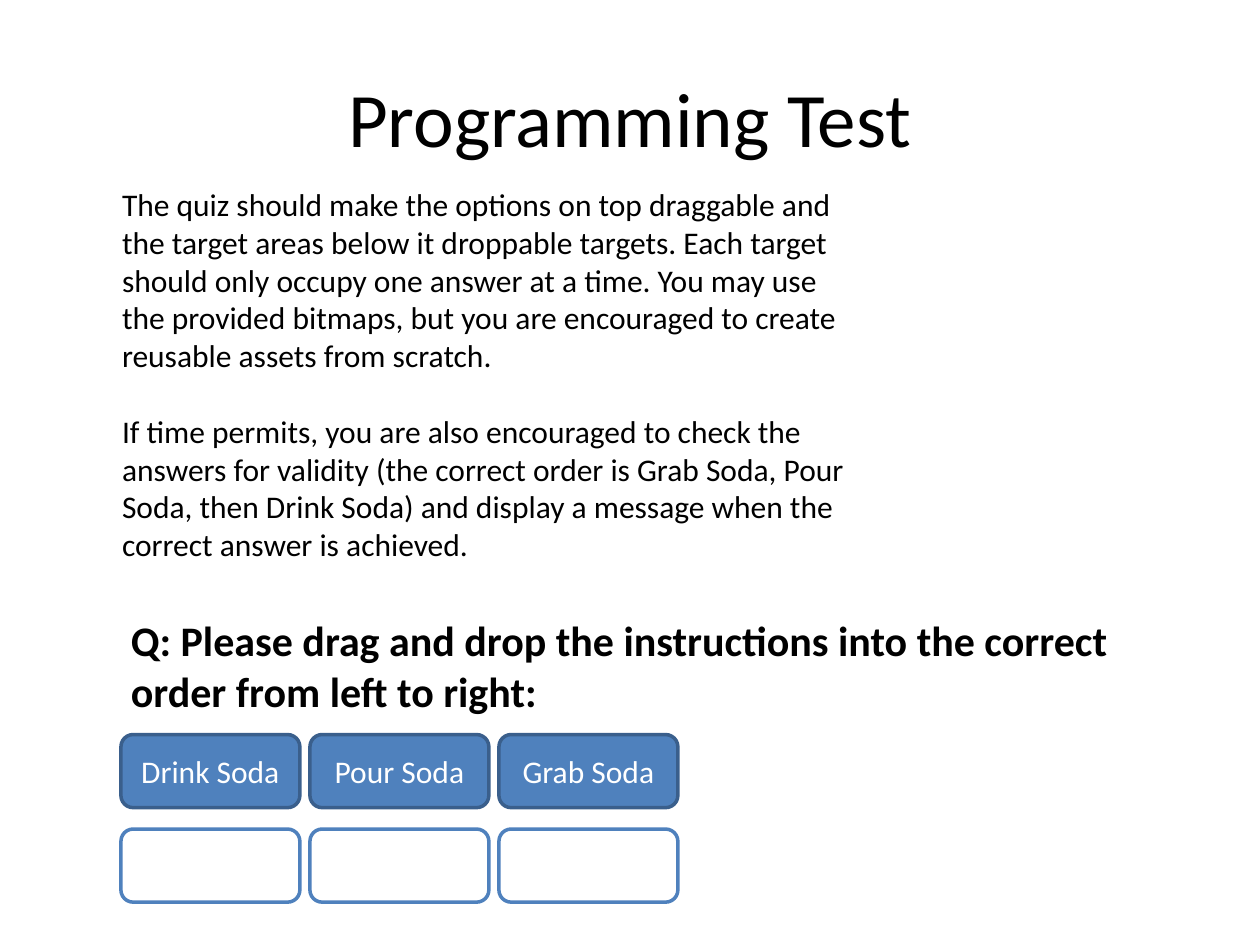
from pptx import Presentation
from pptx.dml.color import RGBColor
from pptx.enum.shapes import MSO_SHAPE
from pptx.enum.text import MSO_ANCHOR, PP_ALIGN
from pptx.util import Inches, Pt

COLORS = {"ink": "000000", "paper": "FFFFFF", "blue": "4F81BD", "edge": "3A5F8C"}
FONT = "Calibri"
BRIEF = [
    "The quiz should make the options on top draggable and the target areas below it "
    "droppable targets. Each target should only occupy one answer at a time. You may use "
    "the provided bitmaps, but you are encouraged to create reusable assets from scratch.",
    "If time permits, you are also encouraged to check the answers for validity (the correct "
    "order is Grab Soda, Pour Soda, then Drink Soda) and display a message when the correct "
    "answer is achieved.",
]
QUESTION = ("Q: Please drag and drop the instructions into the correct order "
            "from left to right:")
OPTIONS = ["Drink Soda", "Pour Soda", "Grab Soda"]


def color(name):
    return RGBColor.from_string(COLORS[name])


def write(shape, *texts, size=18, ink="ink", bold=False, align=PP_ALIGN.LEFT,
          anchor=MSO_ANCHOR.TOP, gap=0):
    """Fill a shape with one paragraph per text, gap points apart."""
    frame = shape.text_frame
    frame.word_wrap = True
    frame.vertical_anchor = anchor
    for index, text in enumerate(texts):
        para = frame.add_paragraph() if index else frame.paragraphs[0]
        para.alignment = align
        para.space_before = Pt(gap if index else 0)
        span = para.add_run()
        span.text = text
        span.font.name = FONT
        span.font.size = Pt(size)
        span.font.bold = bold
        span.font.color.rgb = color(ink)


def add_title(page, box, text):
    title = page.shapes.title
    title.left, title.top, title.width, title.height = map(Inches, box)
    write(title, text, size=44, align=PP_ALIGN.CENTER, anchor=MSO_ANCHOR.MIDDLE)


def add_text(page, box, *texts, **style):
    write(page.shapes.add_textbox(*map(Inches, box)), *texts, **style)


def add_tile(page, box, fill, edge, label=""):
    tile = page.shapes.add_shape(MSO_SHAPE.ROUNDED_RECTANGLE, *map(Inches, box))
    tile.shadow.inherit = False
    tile.fill.solid()
    tile.fill.fore_color.rgb = color(fill)
    tile.line.color.rgb = color(edge)
    tile.line.width = Pt(2)
    if label:
        write(tile, label, ink="paper", align=PP_ALIGN.CENTER, anchor=MSO_ANCHOR.MIDDLE)


def add_quiz(page, box, gap=0.08):
    """Draggable options in the upper row, empty drop targets below them."""
    left, top, width, height = box
    step = (width + gap) / len(OPTIONS)
    tile_height = 0.58
    for column, label in enumerate(OPTIONS):
        x = left + column * step
        add_tile(page, (x, top, step - gap, tile_height), "blue", "edge", label)
        add_tile(page, (x, top + height - tile_height, step - gap, tile_height),
                 "paper", "blue")


def main():
    deck = Presentation()
    deck.slide_width, deck.slide_height = Inches(10), Inches(7.5)
    page = deck.slides.add_slide(deck.slide_layouts.get_by_name("Title Only"))

    # Heading and task description
    add_title(page, (0.5, 0.3, 9, 1.25), "Programming Test")
    add_text(page, (0.87, 1.42, 6.08, 3.13), *BRIEF, gap=21.6)

    # Question with its options and targets
    add_text(page, (0.94, 4.83, 8.1, 0.91), QUESTION, size=24, bold=True)
    add_quiz(page, (0.96, 5.83, 4.42, 1.33))

    deck.save("out.pptx")


if __name__ == "__main__":
    main()
